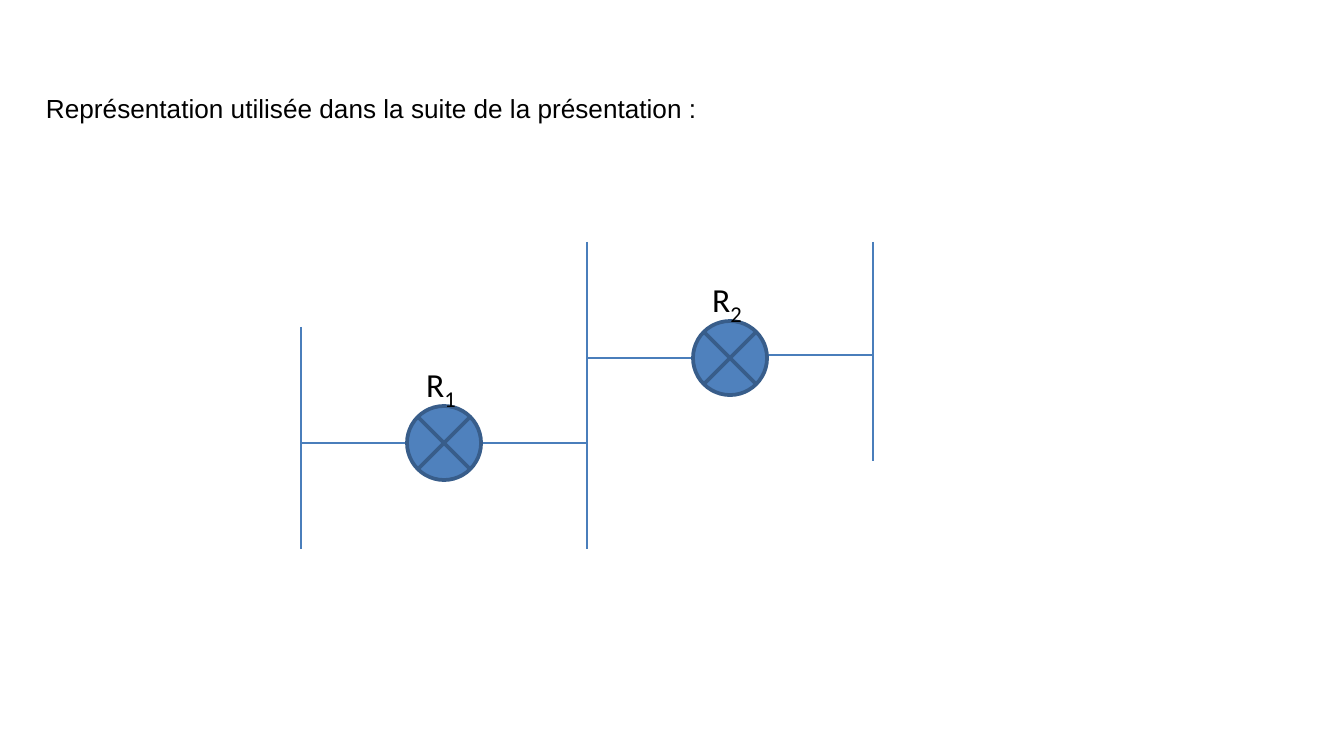
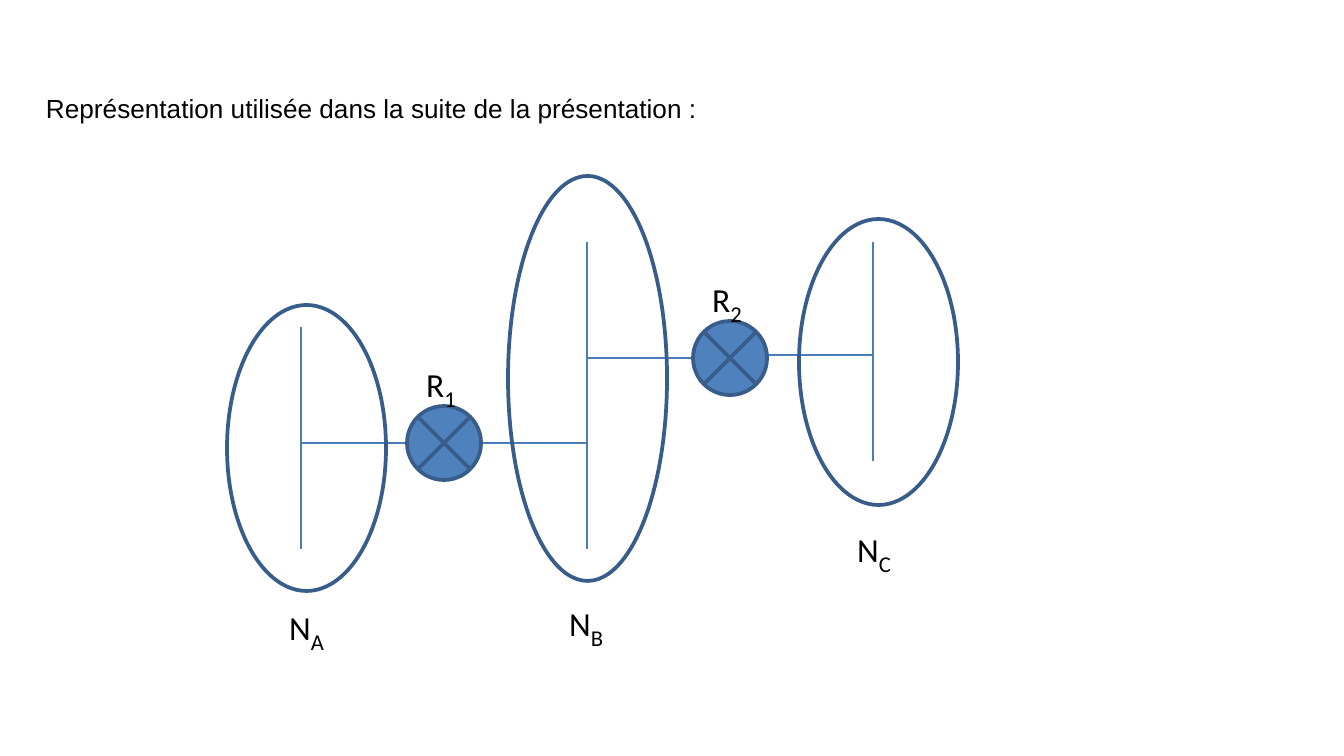
from lxml import etree
from pptx import Presentation
from pptx.dml.color import RGBColor
from pptx.enum.shapes import MSO_CONNECTOR, MSO_SHAPE
from pptx.enum.text import MSO_ANCHOR, MSO_AUTO_SIZE
from pptx.oxml.ns import qn
from pptx.util import Emu, Pt

PX_PER_SLIDE = 1344
SLIDE_HEIGHT = 756
SCALE = 9144000 / PX_PER_SLIDE

BLACK = RGBColor(0x00, 0x00, 0x00)
WIRE_BLUE = RGBColor(0x4A, 0x7E, 0xBB)
FILL_BLUE = RGBColor(0x4F, 0x81, 0xBD)
OUTLINE_BLUE = RGBColor(0x38, 0x5D, 0x8A)

STRAIGHT = MSO_CONNECTOR.STRAIGHT
OVAL = MSO_SHAPE.OVAL
JUNCTION = MSO_SHAPE.FLOWCHART_SUMMING_JUNCTION
MIDDLE = MSO_ANCHOR.MIDDLE
FIT_TEXT = MSO_AUTO_SIZE.SHAPE_TO_FIT_TEXT

TITLE = "Représentation utilisée dans la suite de la présentation :"
RADIUS = 37
NODE_WIDTH = 159
BAR_A, BAR_B, BAR_C = 301, 587, 873
BARS = [(BAR_A, 327, 549), (BAR_B, 242, 549), (BAR_C, 242, 461)]
RESISTORS = [("1", 444, 443, BAR_A, BAR_B, 443), ("2", 730, 358, BAR_B, BAR_C, 355)]
NODES = [
    ("A", 227, 305, 286, 276, 595),
    ("B", 508, 176, 405, 556, 591),
    ("C", 799, 219, 286, 844, 517),
]


def px(length):
    """Turn a length in px into EMU."""
    return Emu(round(length * SCALE))


def add_run(para, text, size, font):
    """Add one black run to a paragraph."""
    span = para.add_run()
    span.text = text
    span.font.size = Pt(size)
    span.font.name = font
    span.font.color.rgb = BLACK
    return span


def add_title(page):
    """Add the title line shared by the slides."""
    box = page.shapes.add_textbox(px(46), px(66), px(1252), px(85))
    frame = box.text_frame
    frame.word_wrap = True
    frame.vertical_anchor = MIDDLE
    frame.margin_left = frame.margin_right = 0
    frame.margin_top = frame.margin_bottom = 0
    add_run(frame.paragraphs[0], TITLE, 14, "Arial")


def add_label(page, letter, index, left, top):
    """Add a letter with a subscript index."""
    box = page.shapes.add_textbox(px(left), px(top), px(65), px(60))
    frame = box.text_frame
    frame.word_wrap = False
    frame.auto_size = FIT_TEXT
    para = frame.paragraphs[0]
    add_run(para, letter, 18, "Calibri")
    span = add_run(para, index, 20.8, "Calibri")
    span._r.get_or_add_rPr().set("baseline", "-25000")


def add_wire(page, x1, y1, x2, y2):
    """Draw a thin straight line without shadow."""
    wire = page.shapes.add_connector(STRAIGHT, px(x1), px(y1), px(x2), px(y2))
    wire.line.color.rgb = WIRE_BLUE
    wire.line.width = Pt(0.75)
    etree.SubElement(wire._element.spPr, qn("a:effectLst"))


def add_round(page, kind, left, top, width, height, fill=None):
    """Draw an outlined round shape, filled if a colour is given."""
    shape = page.shapes.add_shape(kind, px(left), px(top), px(width), px(height))
    shape.shadow.inherit = False
    shape.line.color.rgb = OUTLINE_BLUE
    shape.line.width = Pt(2)
    if fill is None:
        shape.fill.background()
    else:
        shape.fill.solid()
        shape.fill.fore_color.rgb = fill


def add_resistor(page, index, x, y, left_bar, right_bar, right_y):
    """Draw a resistor, its label and its wires to both bars."""
    add_wire(page, left_bar, y, x - RADIUS, y)
    add_wire(page, x + RADIUS, right_y, right_bar, right_y)
    add_round(page, JUNCTION, x - RADIUS, y - RADIUS, 2 * RADIUS, 2 * RADIUS, FILL_BLUE)
    add_label(page, "R", index, x - 31, y - 91)


def add_node(page, index, left, top, height, label_left, label_top):
    """Ring a bar and name it as a node."""
    add_label(page, "N", index, label_left, label_top)
    add_round(page, OVAL, left, top, NODE_WIDTH, height)


def add_circuit_page(deck):
    """Add a slide with the title and the circuit."""
    page = deck.slides.add_slide(deck.slide_layouts[6])
    add_title(page)
    for x, top, bottom in BARS:
        add_wire(page, x, top, x, bottom)
    for resistor in RESISTORS:
        add_resistor(page, *resistor)
    return page


def main():
    """Build the two slides and save the deck."""
    deck = Presentation()
    deck.slide_width = px(PX_PER_SLIDE)
    deck.slide_height = px(SLIDE_HEIGHT)
    add_circuit_page(deck)
    page = add_circuit_page(deck)
    for node in NODES:
        add_node(page, *node)
    deck.save("out.pptx")


if __name__ == "__main__":
    main()
